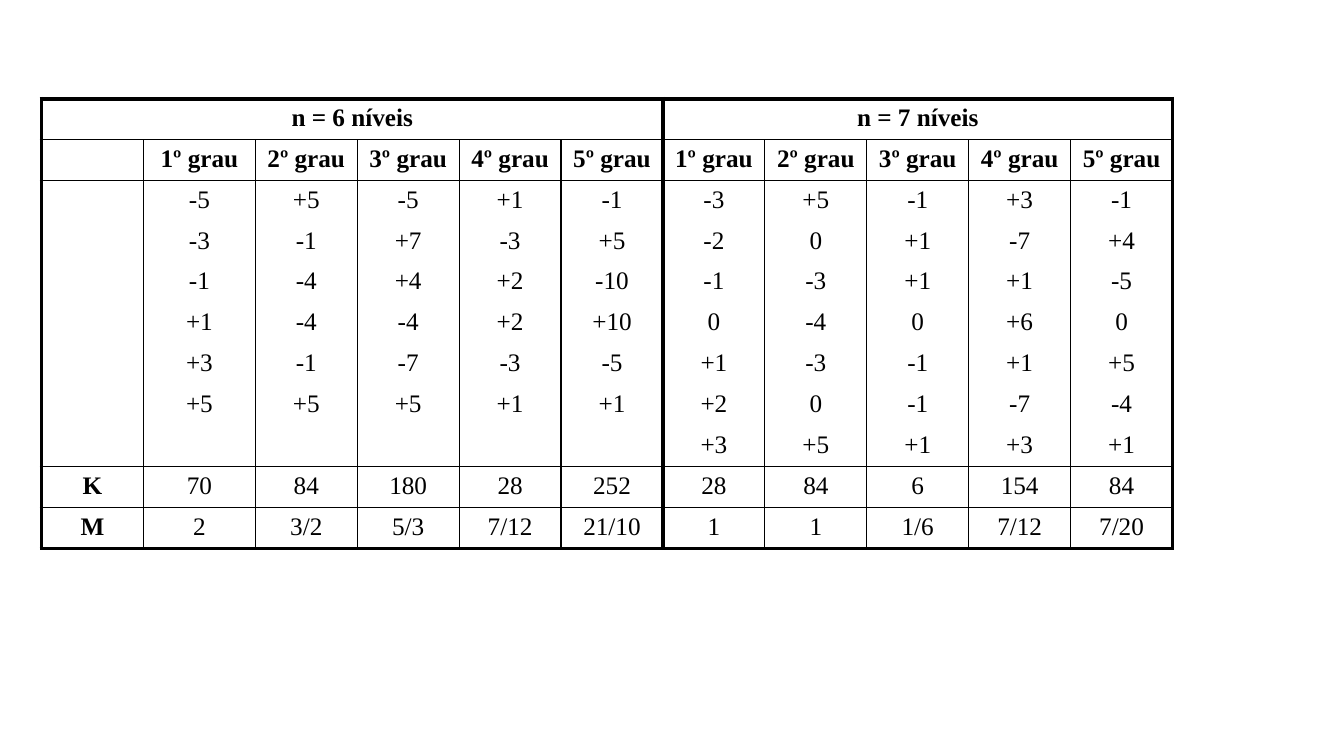
from lxml.etree import SubElement
from pptx import Presentation
from pptx.dml.color import RGBColor as RGB
from pptx.enum.text import MSO_ANCHOR as Anchor, PP_ALIGN as Align
from pptx.oxml.ns import qn
from pptx.util import Pt

LEVELS = [("n = 6 níveis", 0, 5), ("n = 7 níveis", 6, 10)]
DEGREES = [f"{degree}º grau" for degree in range(1, 6)]
COEFFICIENTS = [
    ("-5 +5 -5 +1 -1", "-3 +5 -1 +3 -1"),
    ("-3 -1 +7 -3 +5", "-2 0 +1 -7 +4"),
    ("-1 -4 +4 +2 -10", "-1 -3 +1 +1 -5"),
    ("+1 -4 -4 +2 +10", "0 -4 0 +6 0"),
    ("+3 -1 -7 -3 -5", "+1 -3 -1 +1 +5"),
    ("+5 +5 +5 +1 +1", "+2 0 -1 -7 -4"),
    ("", "+3 +5 +1 +3 +1"),
]
TOTALS = [
    ("K", "70 84 180 28 252", "28 84 6 154 84"),
    ("M", "2 3/2 5/3 7/12 21/10", "1 1 1/6 7/12 7/20"),
]
COLORS = {"ink": "000000", "paper": "FFFFFF"}
TEXT_FORMAT = {"name": "Times New Roman", "size": Pt(18)}
COLUMN_WIDTHS = [72.8, 79.9] + [72.8] * 9
ROW_HEIGHT = 29.2
LEFT, TOP = 29.7, 70.6
THICK, THIN = 3, 1


def level_row(label, six, seven):
    return [label] + (six.split() or [""] * 5) + seven.split()


header = [""] * len(COLUMN_WIDTHS)
for title, first, last in LEVELS:
    header[first] = title
rows = [header, [""] + DEGREES * 2]
rows += [level_row("", *values) for values in COEFFICIENTS]
rows += [level_row(*values) for values in TOTALS]

thick_columns = {0, 6, len(COLUMN_WIDTHS)}
horizontal = {0: THICK, 1: THIN, 2: THIN, 9: THIN, 10: THIN, len(rows): THICK}


def draw_border(cell, side, width):
    line = SubElement(cell._tc.get_or_add_tcPr(), qn(f"a:ln{side}"), w=str(Pt(width)))
    if width:
        fill = SubElement(line, qn("a:solidFill"))
        SubElement(fill, qn("a:srgbClr"), val=COLORS["ink"])
    else:
        SubElement(line, qn("a:noFill"))


deck = Presentation()
deck.slide_width, deck.slide_height = Pt(960), Pt(540)
slide = deck.slides.add_slide(deck.slide_layouts[6])
slide.background.fill.solid()
slide.background.fill.fore_color.rgb = RGB.from_string(COLORS["paper"])

table = slide.shapes.add_table(
    len(rows), len(COLUMN_WIDTHS), Pt(LEFT), Pt(TOP),
    Pt(sum(COLUMN_WIDTHS)), Pt(ROW_HEIGHT * len(rows)),
).table
table.first_row = table.horz_banding = False
for column, width in zip(table.columns, COLUMN_WIDTHS):
    column.width = Pt(width)
for row in table.rows:
    row.height = Pt(ROW_HEIGHT)
for title, first, last in LEVELS:
    table.cell(0, first).merge(table.cell(0, last))

for r, values in enumerate(rows):
    inner = THIN if r else 0
    for c, value in enumerate(values):
        cell = table.cell(r, c)
        for side, edge in (("L", c), ("R", c + cell.span_width)):
            draw_border(cell, side, THICK if edge in thick_columns else inner)
        for side, edge in (("T", r), ("B", r + 1)):
            draw_border(cell, side, horizontal.get(edge, 0))
        cell.fill.background()
        cell.vertical_anchor = Anchor.TOP
        if not value:
            continue
        paragraph = cell.text_frame.paragraphs[0]
        paragraph.alignment = Align.CENTER
        run = paragraph.add_run()
        run.text = value
        for key, setting in TEXT_FORMAT.items():
            setattr(run.font, key, setting)
        run.font.bold = r < 2 or c == 0
        run.font.color.rgb = RGB.from_string(COLORS["ink"])

deck.save("out.pptx")
